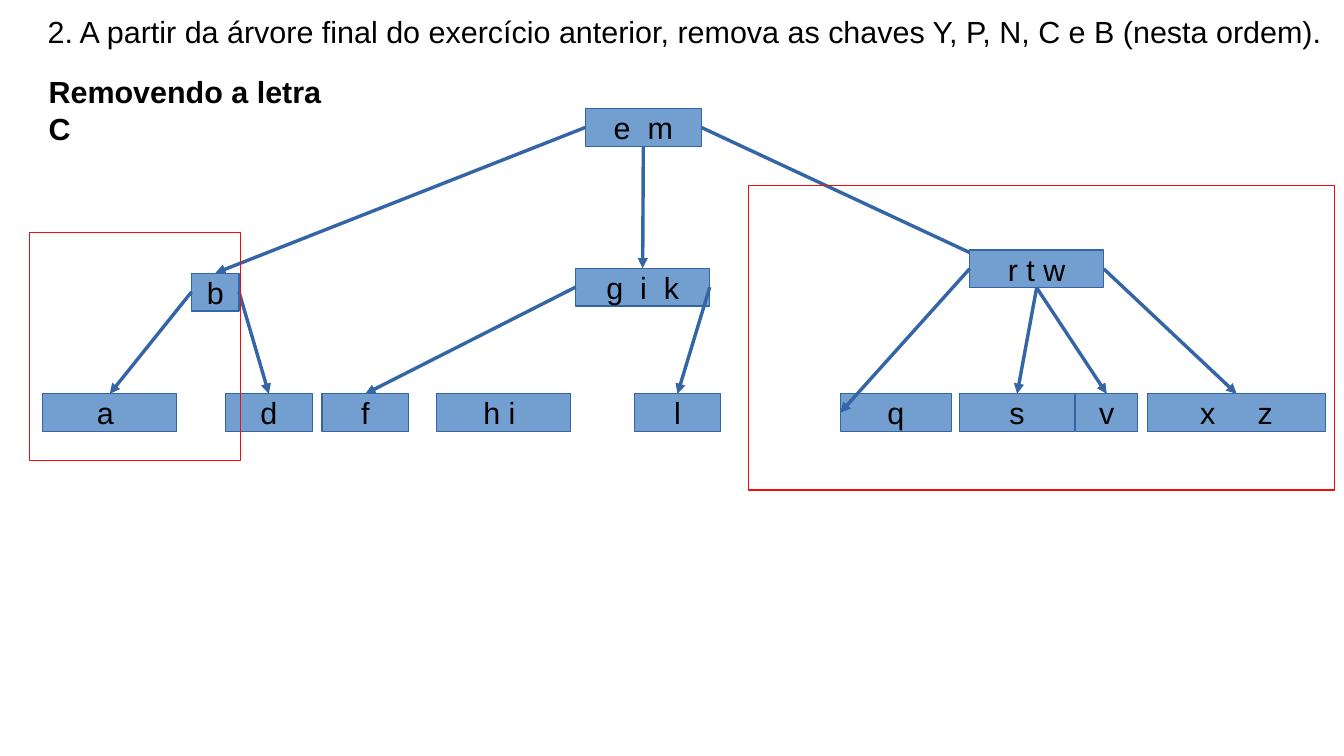
from pptx import Presentation
from pptx.dml.color import RGBColor
from pptx.enum import shapes, text
from pptx.oxml.ns import qn
from pptx.util import Inches, Pt
from lxml import etree

TITLE = ("2. A partir da árvore final do exercício anterior, "
         "remova as chaves Y, P, N, C e B (nesta ordem).")
SUBTITLE = "Removendo a letra C"
COLORS = {"node": "729FCF", "edge": "3465A4", "frame": "F10D0C", "text": "000000"}
FONT, FONT_SIZE = "Arial", 18
NODE_HEIGHT, LEAF_TOP = 0.31, 3.23

# name: (keys, left, top, width)
NODES = {
    "root": ("e  m", 4.8, 0.89, 0.95),
    "b": ("b", 1.57, 2.24, 0.39),
    "gik": ("g  i  k", 4.72, 2.2, 1.1),
    "rtw": ("r t w", 7.95, 2.05, 1.1),
    "a": ("a ", 0.35, LEAF_TOP, 1.1),
    "d": ("d", 1.85, LEAF_TOP, 0.71),
    "f": ("f", 2.64, LEAF_TOP, 0.71),
    "hi": ("h i ", 3.58, LEAF_TOP, 1.1),
    "l": ("l", 5.2, LEAF_TOP, 0.71),
    "q": ("q", 6.89, LEAF_TOP, 0.91),
    "s": ("s", 7.87, LEAF_TOP, 0.94),
    "v": ("v", 8.82, LEAF_TOP, 0.51),
    "xz": ("x     z", 9.41, LEAF_TOP, 1.46),
}
# Anchor points as fractions of a node's width and height
ANCHORS = {"left": (0, 0.5), "right": (1, 0.5), "top": (0.5, 0),
           "bottom": (0.5, 1), "inside": (0.11, 0.25)}
# (parent, parent anchor, child, child anchor)
EDGES_BEHIND = [("root", "left", "b", "top"), ("root", "right", "rtw", "inside")]
EDGES_IN_FRONT = [
    ("root", "bottom", "gik", "top"),
    ("b", "left", "a", "top"),
    ("b", "right", "d", "top"),
    ("gik", "left", "f", "top"),
    ("gik", "right", "l", "top"),
    ("rtw", "left", "q", "left"),
    ("rtw", "bottom", "s", "top"),
    ("rtw", "bottom", "v", "top"),
    ("rtw", "right", "xz", "top"),
]
FRAMES = [(6.14, 1.52, 4.8, 2.5), (0.24, 1.91, 1.73, 1.87)]


def color(name):
    return RGBColor.from_string(COLORS[name])


def write(shape, content, alignment, bold=False):
    frame = shape.text_frame
    frame.text = content
    frame.vertical_anchor = text.MSO_ANCHOR.MIDDLE
    paragraph = frame.paragraphs[0]
    paragraph.alignment = alignment
    font = paragraph.runs[0].font
    font.name, font.size, font.bold = FONT, Pt(FONT_SIZE), bold
    font.color.rgb = color("text")


def add_box(slide, box, line, fill=None):
    shape = slide.shapes.add_shape(shapes.MSO_SHAPE.RECTANGLE, *map(Inches, box))
    shape.shadow.inherit = False
    if fill:
        shape.fill.solid()
        shape.fill.fore_color.rgb = color(fill)
    else:
        shape.fill.background()
    shape.line.color.rgb = color(line)
    shape.line.width = Pt(0)
    return shape


def add_node(slide, keys, left, top, width):
    shape = add_box(slide, (left, top, width, NODE_HEIGHT), "edge", "node")
    write(shape, keys, text.PP_ALIGN.CENTER)
    shape.text_frame.word_wrap = False


def anchor_point(node, anchor):
    _, left, top, width = NODES[node]
    across, down = ANCHORS[anchor]
    return Inches(left + across * width), Inches(top + down * NODE_HEIGHT)


def add_edge(slide, parent, parent_anchor, child, child_anchor):
    connector = slide.shapes.add_connector(
        shapes.MSO_CONNECTOR.STRAIGHT,
        *anchor_point(parent, parent_anchor), *anchor_point(child, child_anchor))
    connector.line.color.rgb = color("edge")
    connector.line.width = Pt(0)
    etree.SubElement(connector.line._get_or_add_ln(), qn("a:tailEnd"), type="triangle")
    etree.SubElement(connector._element.spPr, qn("a:effectLst"))


def main():
    presentation = Presentation()
    presentation.slide_width, presentation.slide_height = Inches(11.02), Inches(6.2)
    slide = presentation.slides.add_slide(presentation.slide_layouts[5])

    title = slide.shapes.title
    title.left, title.top = Inches(0.39), Inches(-0.26)
    title.width, title.height = Inches(10.47), Inches(1.04)
    write(title, TITLE, text.PP_ALIGN.LEFT)
    frame = title.text_frame
    frame.margin_left = frame.margin_right = frame.margin_top = frame.margin_bottom = 0
    frame.auto_size = text.MSO_AUTO_SIZE.NONE

    for edge in EDGES_BEHIND:
        add_edge(slide, *edge)
    for node in NODES.values():
        add_node(slide, *node)
    for edge in EDGES_IN_FRONT:
        add_edge(slide, *edge)

    subtitle = slide.shapes.add_textbox(*map(Inches, (0.3, 0.71, 2.68, 0.38)))
    write(subtitle, SUBTITLE, text.PP_ALIGN.LEFT, bold=True)
    subtitle.text_frame.word_wrap = False

    for box in FRAMES:
        add_box(slide, box, "frame")
    presentation.save("out.pptx")


if __name__ == "__main__":
    main()
